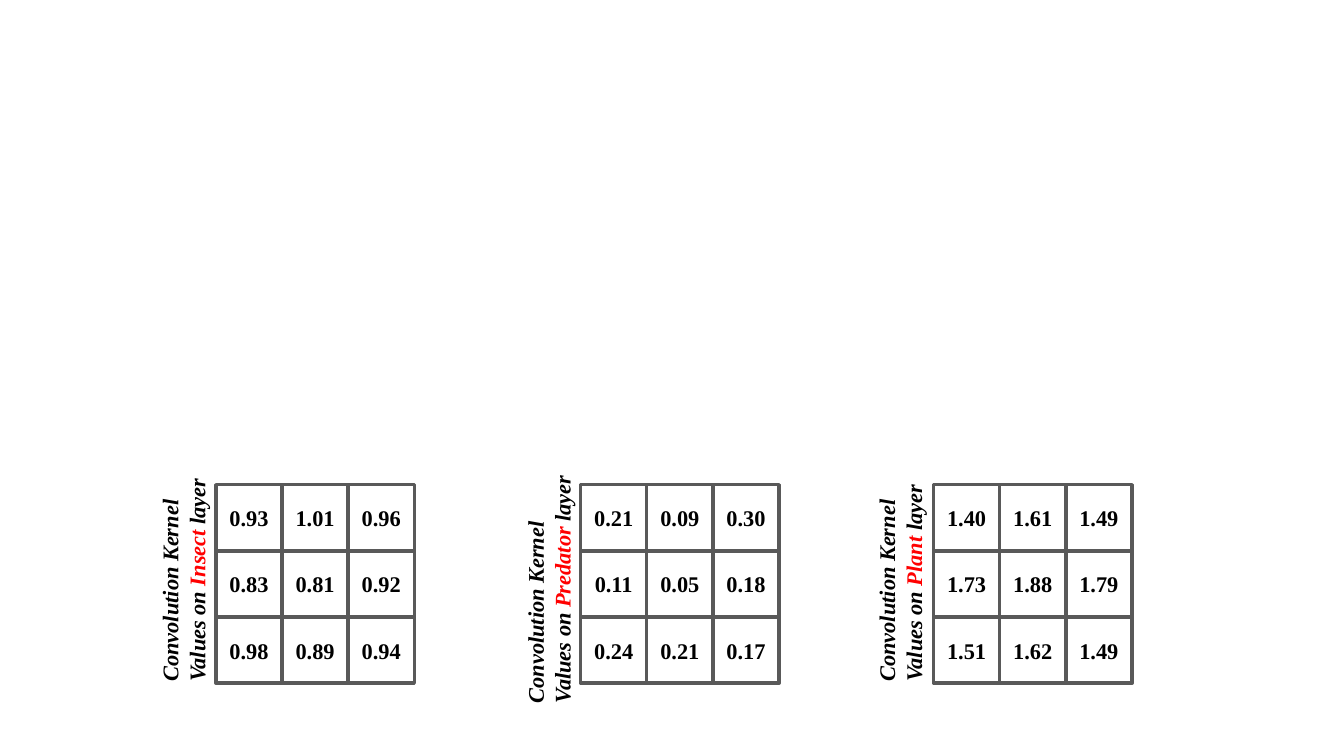
from pptx import Presentation
from pptx.dml.color import RGBColor
from pptx.enum.shapes import MSO_SHAPE as Shape
from pptx.enum.text import MSO_ANCHOR as Anchor, MSO_AUTO_SIZE as AutoSize, PP_ALIGN as Align
from pptx.util import Pt

COLORS = {"grid": "595959", "text": "000000", "layer": "FF0000"}
CELL = 47.25
GRID_TOP = 346.2
LABEL_HEIGHT = 46.1

# layer name, grid left, label (left, top, width) before rotation, kernel values
KERNELS = [
    ("Insect", 154.2, (48.2, 388.1, 165.6),
     [["0.93", "1.01", "0.96"], ["0.83", "0.81", "0.92"], ["0.98", "0.89", "0.94"]]),
    ("Plant", 666.8, (560.2, 388.1, 165.6),
     [["1.40", "1.61", "1.49"], ["1.73", "1.88", "1.79"], ["1.51", "1.62", "1.49"]]),
    ("Predator", 414.7, (300.2, 394.6, 183.6),
     [["0.21", "0.09", "0.30"], ["0.11", "0.05", "0.18"], ["0.24", "0.21", "0.17"]]),
]


def write(frame, runs, align=Align.LEFT, anchor=Anchor.TOP, inset=7.2, italic=False):
    """Fill a text frame with one paragraph of (text, colour key) runs."""
    frame.word_wrap = True
    frame.vertical_anchor = anchor
    frame.margin_top = frame.margin_bottom = Pt(inset)
    paragraph = frame.paragraphs[0]
    paragraph.alignment = align
    for text, color in runs:
        run = paragraph.add_run()
        run.text = text
        run.font.name = "Times New Roman"
        run.font.size = Pt(16)
        run.font.bold = True
        run.font.italic = italic
        run.font.color.rgb = RGBColor.from_string(COLORS[color])


prs = Presentation()
prs.slide_width, prs.slide_height = Pt(960), Pt(540)
slide = prs.slides.add_slide(prs.slide_layouts[6])

for layer, grid_left, (label_left, label_top, label_width), values in KERNELS:
    kernel = slide.shapes.add_group_shape()
    for row, row_values in enumerate(values):
        for column, value in enumerate(row_values):
            cell = kernel.shapes.add_shape(
                Shape.RECTANGLE, Pt(grid_left + column * CELL),
                Pt(GRID_TOP + row * CELL), Pt(CELL), Pt(CELL))
            cell.shadow.inherit = False
            cell.fill.background()
            cell.line.color.rgb = RGBColor.from_string(COLORS["grid"])
            cell.line.width = Pt(2.5)
            write(cell.text_frame, [(value, "text")], align=Align.CENTER, anchor=Anchor.MIDDLE)

    label = kernel.shapes.add_textbox(
        Pt(label_left), Pt(label_top), Pt(label_width), Pt(LABEL_HEIGHT))
    label.rotation = 270
    label.text_frame.auto_size = AutoSize.SHAPE_TO_FIT_TEXT
    write(label.text_frame,
          [("Convolution Kernel Values on ", "text"), (layer, "layer"), (" layer", "text")],
          inset=3.6, italic=True)

prs.save("out.pptx")
